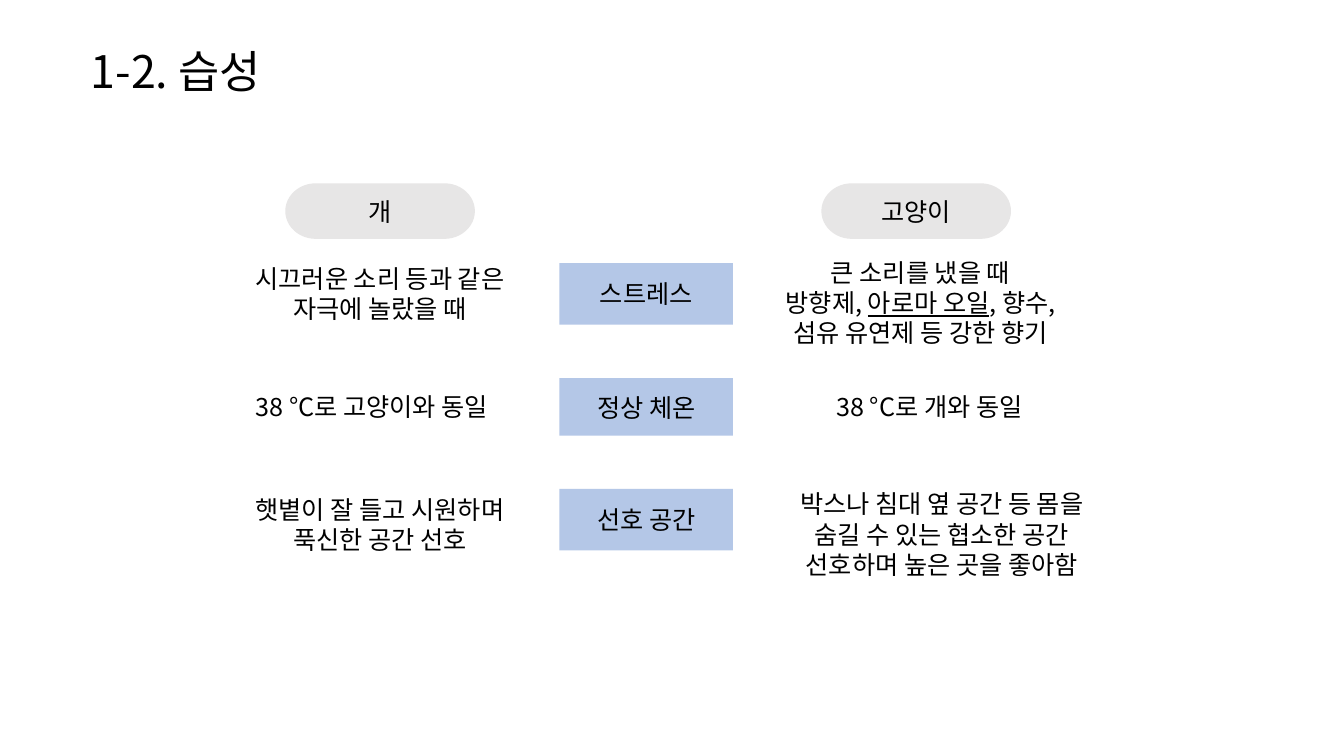
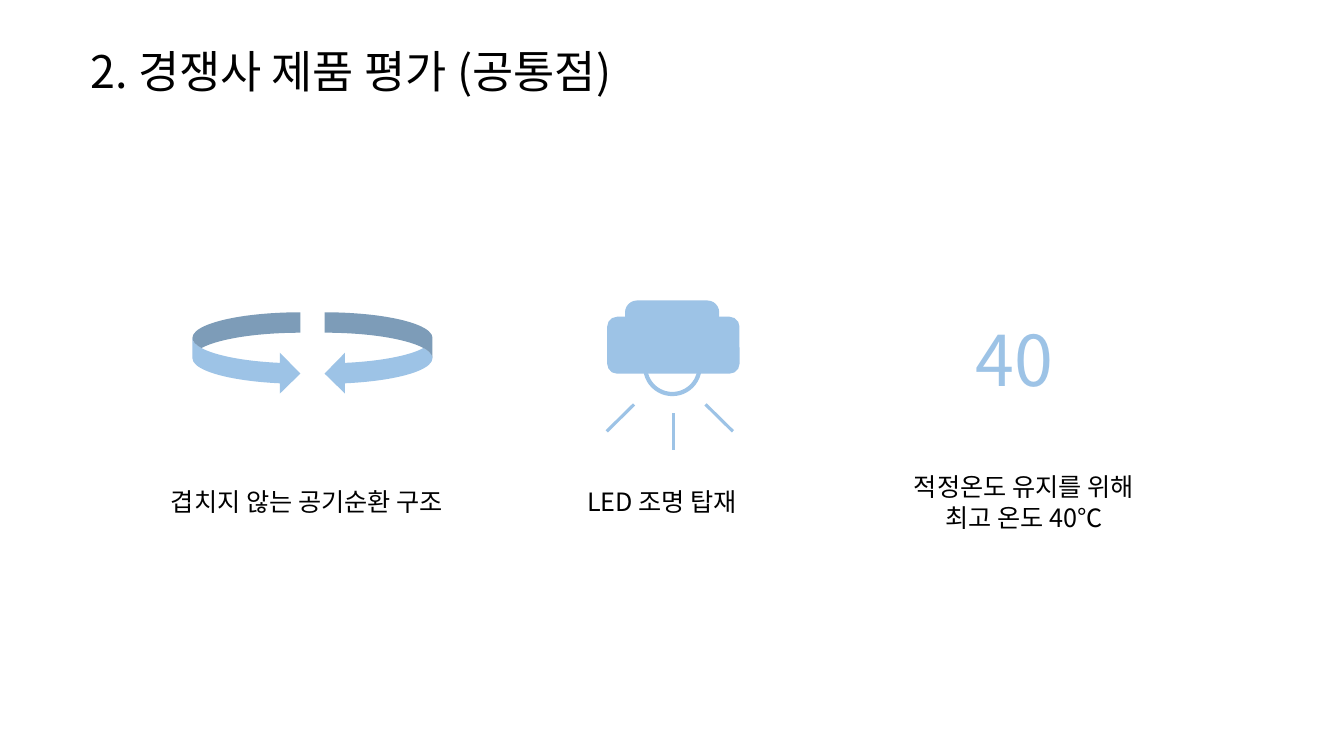
from lxml.etree import SubElement
from pptx import Presentation
from pptx.dml.color import RGBColor
from pptx.enum.shapes import MSO_CONNECTOR, MSO_SHAPE
from pptx.enum.text import MSO_ANCHOR, MSO_AUTO_SIZE, PP_ALIGN
from pptx.oxml.ns import qn
from pptx.util import Cm, Pt

FONT = "Noto Sans CJK KR"
BLACK, GREY, PALE_BLUE, BLUE = "000000", "E7E6E6", "B4C7E7", "9DC3E6"

HABITS_TITLE = ("1-2. 습성", 4.9)
ANIMALS = [("개", 7.19), ("고양이", 20.7)]
TOPICS = [("스트레스", 6.63, 1.55), ("정상 체온", 9.53, 1.45), ("선호 공간", 12.32, 1.55)]
HABITS = [
    (["시끄러운 소리 등과 같은 자극에 놀랐을 때"], (5.89, 6.5, 7.37, 1.8)),
    (["38 °C로 고양이와 동일"], (5.89, 9.73, 6.96, 1.02)),
    (["햇볕이 잘 들고 시원하며 푹신한 공간 선호"], (5.89, 12.32, 7.37, 1.8)),
    (["큰 소리를 냈을 때",
      ["방향제, ", ("아로마 오일", True), ", 향수, 섬유 유연제 등 강한 향기"]],
     (19.3, 6.35, 7.8, 2.57)),
    (["38 °C로 개와 동일"], (19.74, 9.73, 7.37, 1.02)),
    (["박스나 침대 옆 공간 등 몸을 숨길 수 있는 협소한 공간 선호하며 높은 곳을 좋아함"],
     (19.3, 12.19, 8.86, 2.57)),
]

PRODUCTS_TITLE = ("2. 경쟁사 제품 평가 (공통점)", 14.5)
FEATURES = [
    (["겹치지 않는 공기순환 구조"], (4.06, 12.14, 7.85, 1.02), {}),
    (["LED 조명 탑재"], (14.55, 12.14, 4.75, 1.02), {}),
    (["적정온도 유지를 위해", "최고 온도 40℃"], (22.58, 11.76, 6.45, 1.8),
     {"align": PP_ALIGN.CENTER}),
    (["40"], (24.33, 7.85, 2.92, 2.39), {"size": 50, "color": BLUE}),
]
AIR_ARROWS = [(MSO_SHAPE.CURVED_RIGHT_ARROW, 4.85), (MSO_SHAPE.CURVED_LEFT_ARROW, 8.18)]
LAMP_PARTS = [
    (MSO_SHAPE.OVAL, (16.26, 8.56, 1.37, 1.37), None, 3),
    (MSO_SHAPE.FLOWCHART_ALTERNATE_PROCESS, (15.32, 8, 3.3, 1.4), BLUE, 1),
    (MSO_SHAPE.FLOWCHART_ALTERNATE_PROCESS, (15.77, 7.59, 2.34, 1.7), BLUE, 1),
]
LIGHT_RAYS = [
    (15.98, 10.19, 15.29, 10.87),
    (17.78, 10.19, 18.47, 10.87),
    (16.97, 10.41, 16.97, 11.33),
]


def rgb(color):
    return RGBColor.from_string(color)


def lengths(values):
    return [Cm(value) for value in values]


def write(frame, paragraphs, size=18, color=BLACK, align=PP_ALIGN.LEFT, anchor=MSO_ANCHOR.TOP):
    frame.word_wrap = True
    frame.auto_size = MSO_AUTO_SIZE.NONE
    frame.vertical_anchor = anchor
    for index, pieces in enumerate(paragraphs):
        paragraph = frame.add_paragraph() if index else frame.paragraphs[0]
        paragraph.alignment = align
        for piece in [pieces] if isinstance(pieces, str) else pieces:
            words, underlined = (piece, None) if isinstance(piece, str) else piece
            run = paragraph.add_run()
            run.text = words
            run.font.name = FONT
            run.font.size = Pt(size)
            run.font.color.rgb = rgb(color)
            run.font.underline = underlined
            SubElement(run.font._element, qn("a:ea")).set("typeface", FONT)


def add_text(slide, paragraphs, box, **style):
    write(slide.shapes.add_textbox(*lengths(box)).text_frame, paragraphs, **style)


def add_form(shapes, preset, box, fill=None, line_width=0):
    form = shapes.add_shape(preset, *lengths(box))
    form.shadow.inherit = False
    if fill:
        form.fill.solid()
        form.fill.fore_color.rgb = rgb(fill)
    else:
        form.fill.background()
    if line_width:
        form.line.color.rgb = rgb(BLUE)
        form.line.width = Pt(line_width)
    else:
        form.line.fill.background()
    return form


def add_label(slide, preset, text, box, fill):
    label = add_form(slide.shapes, preset, box, fill)
    write(label.text_frame, [text], align=PP_ALIGN.CENTER, anchor=MSO_ANCHOR.MIDDLE)


def add_ray(shapes, ends):
    ray = shapes.add_connector(MSO_CONNECTOR.STRAIGHT, *lengths(ends))
    ray.line.color.rgb = rgb(BLUE)
    ray.line.width = Pt(2.25)
    SubElement(ray._element.spPr, qn("a:effectLst"))


def add_titled_slide(deck, text, width):
    slide = deck.slides.add_slide(deck.slide_layouts[5])
    title = slide.shapes.title
    title.left, title.top, title.width, title.height = lengths((2.03, 0.97, width, 1.63))
    write(title.text_frame, [text], size=32)
    return slide


def build_habits(deck):
    slide = add_titled_slide(deck, *HABITS_TITLE)
    for animal, left in ANIMALS:
        add_label(slide, MSO_SHAPE.FLOWCHART_TERMINATOR, animal, (left, 4.62, 4.78, 1.4), GREY)
    for topic, top, height in TOPICS:
        add_label(slide, MSO_SHAPE.RECTANGLE, topic, (14.1, top, 4.37, height), PALE_BLUE)
    for habit, box in HABITS:
        add_text(slide, habit, box, align=PP_ALIGN.CENTER)


def build_products(deck):
    slide = add_titled_slide(deck, *PRODUCTS_TITLE)
    airflow = slide.shapes.add_group_shape()
    for preset, left in AIR_ARROWS:
        add_form(airflow.shapes, preset, (left, 7.87, 2.72, 2.06), BLUE)
    lamp = slide.shapes.add_group_shape()
    for part in LAMP_PARTS:
        add_form(lamp.shapes, *part)
    for ends in LIGHT_RAYS:
        add_ray(lamp.shapes, ends)
    for feature, box, style in FEATURES:
        add_text(slide, feature, box, **style)


def main():
    deck = Presentation()
    deck.slide_width, deck.slide_height = Cm(33.87), Cm(19.05)
    build_habits(deck)
    build_products(deck)
    deck.save("out.pptx")


if __name__ == "__main__":
    main()
